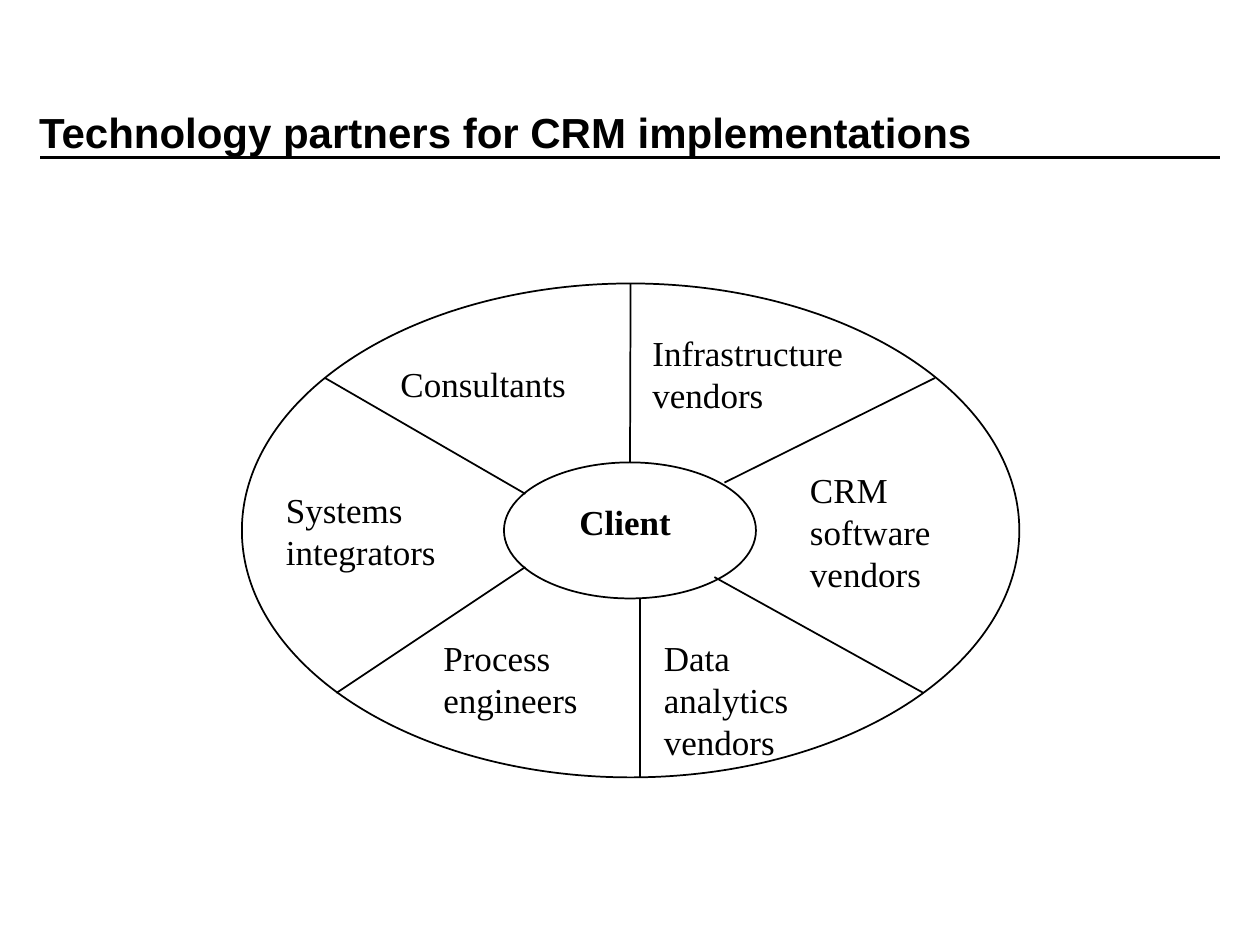
from dataclasses import dataclass

from lxml.etree import SubElement
from pptx import Presentation
from pptx.dml.color import RGBColor
from pptx.enum.shapes import MSO_CONNECTOR, MSO_SHAPE
from pptx.enum.text import MSO_ANCHOR, PP_ALIGN
from pptx.oxml.ns import qn
from pptx.util import Inches, Pt


@dataclass(frozen=True)
class Theme:
    ink: RGBColor = RGBColor(0, 0, 0)
    title_font: str = "Arial"
    body_font: str = "Times New Roman"
    title_size: int = 24
    body_size: int = 20
    rule_width: int = 2
    outline_width: int = 1


def write(frame, text, *, font, size, color, bold=False, anchor=MSO_ANCHOR.TOP):
    frame.word_wrap = True
    frame.vertical_anchor = anchor
    paragraph = frame.paragraphs[0]
    paragraph.alignment = PP_ALIGN.LEFT
    run = paragraph.add_run()
    run.text = text
    run.font.name = font
    run.font.size = Pt(size)
    run.font.bold = bold
    run.font.color.rgb = color


class SlideBuilder:
    def __init__(self, slide, theme):
        self.slide = slide
        self.theme = theme

    def title(self, text, box):
        heading = self.slide.shapes.title
        heading.left, heading.top, heading.width, heading.height = map(Inches, box)
        write(heading.text_frame, text, font=self.theme.title_font,
              size=self.theme.title_size, color=self.theme.ink, bold=True,
              anchor=MSO_ANCHOR.MIDDLE)

    def label(self, text, box, bold=False):
        caption = self.slide.shapes.add_textbox(*map(Inches, box))
        write(caption.text_frame, text, font=self.theme.body_font,
              size=self.theme.body_size, color=self.theme.ink, bold=bold)

    def ellipse(self, box):
        oval = self.slide.shapes.add_shape(MSO_SHAPE.OVAL, *map(Inches, box))
        oval.shadow.inherit = False
        oval.fill.background()
        oval.line.color.rgb = self.theme.ink
        oval.line.width = Pt(self.theme.outline_width)
        return oval

    def line(self, start, end, width=None):
        connector = self.slide.shapes.add_connector(
            MSO_CONNECTOR.STRAIGHT, *map(Inches, (*start, *end)))
        connector.line.color.rgb = self.theme.ink
        connector.line.width = Pt(width or self.theme.outline_width)
        SubElement(connector._element.spPr, qn("a:effectLst"))
        return connector


SPOKES = [
    ((4.17, 3.92), (2.58, 3)),
    ((5.08, 4.75), (5.08, 6.17)),
    ((5.75, 3.83), (7.42, 3)),
    ((5.67, 4.58), (7.33, 5.5)),
    ((4.17, 4.5), (2.67, 5.5)),
]

PARTNERS = [
    ("Consultants", (3.08, 2.83, 1.83, 0.44)),
    ("Infrastructure vendors", (5.08, 2.58, 1.83, 0.77)),
    ("CRM software vendors", (6.33, 3.67, 1.58, 1.1)),
    ("Data analytics vendors", (5.17, 5, 1.24, 1.1)),
    ("Process engineers", (3.42, 5, 1.75, 0.77)),
    ("Systems integrators", (2.17, 3.83, 1.75, 0.77)),
]


def main():
    deck = Presentation()
    deck.slide_width, deck.slide_height = Inches(10), Inches(7.5)
    title_only = deck.slide_layouts[5]
    builder = SlideBuilder(deck.slides.add_slide(title_only), Theme())

    builder.line((0.32, 1.25), (9.68, 1.25), builder.theme.rule_width)
    builder.title("Technology partners for CRM implementations",
                  (0.21, 0.42, 8.5, 1.25))

    partner_ring = builder.ellipse((1.92, 2.25, 6.17, 3.92))
    client_hub = builder.ellipse((4, 3.67, 2, 1.08))
    top_spoke = builder.line((5, 2.25), (5, 3.67))
    top_spoke.begin_connect(partner_ring, 0)
    top_spoke.end_connect(client_hub, 0)
    for start, end in SPOKES:
        builder.line(start, end)

    for partner, box in PARTNERS:
        builder.label(partner, box)
    builder.label("Client", (4.5, 3.92, 1.25, 0.44), bold=True)

    deck.save("out.pptx")


if __name__ == "__main__":
    main()
